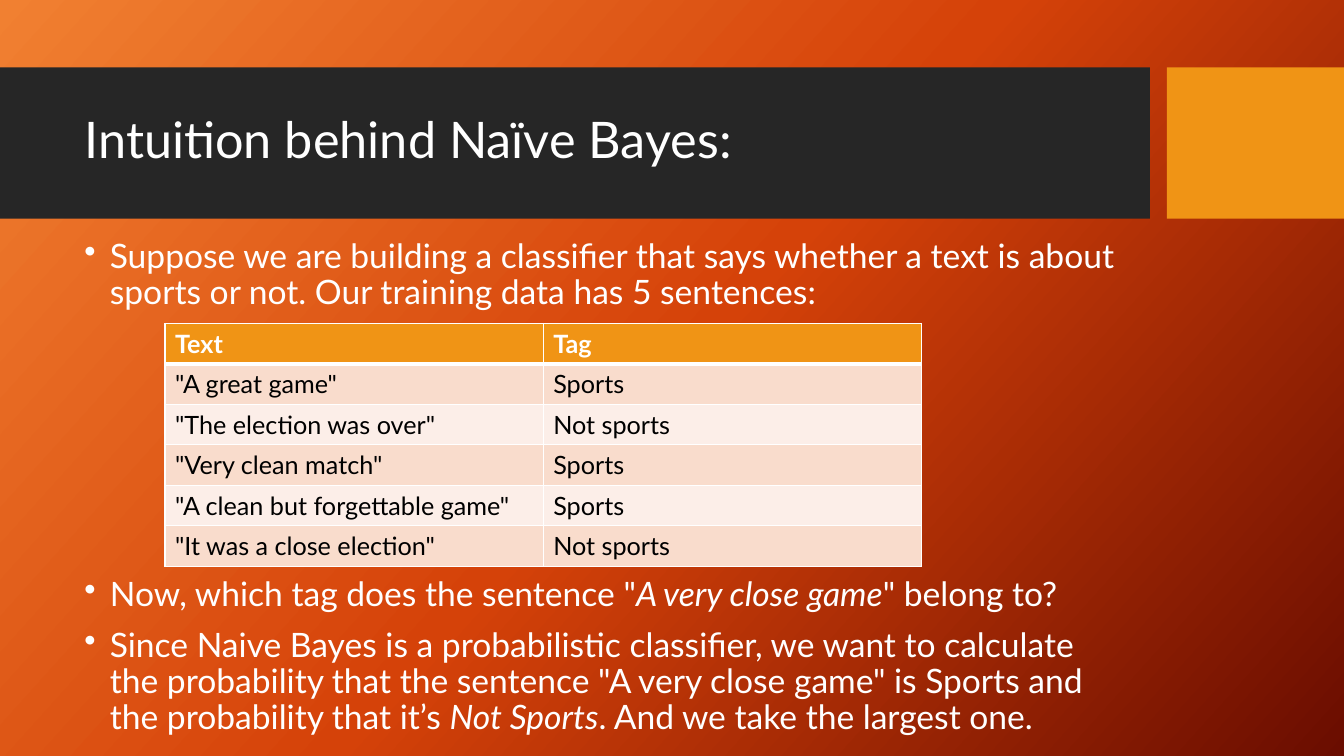
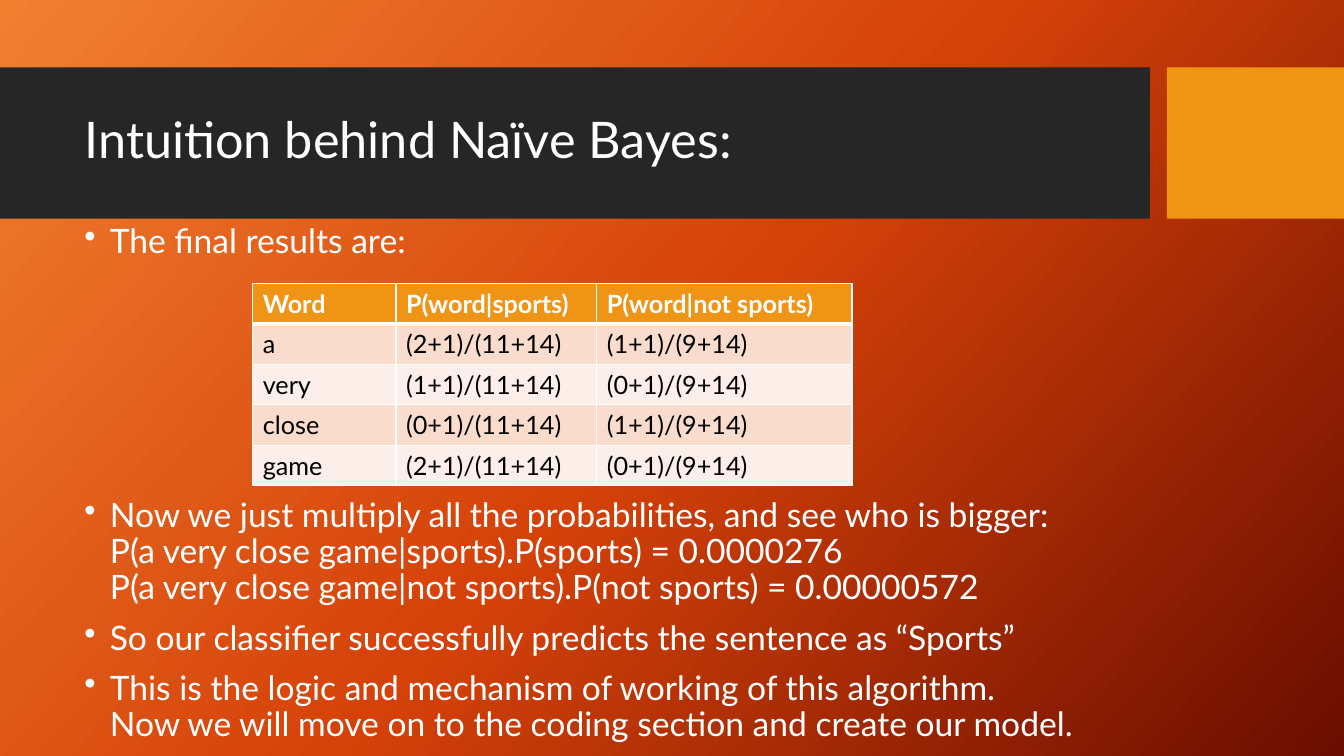
import copy
from dataclasses import dataclass

import pptx
import pptx.dml.color
import pptx.enum.shapes
import pptx.enum.text
import pptx.oxml
import pptx.oxml.ns
import pptx.util

Cm = pptx.util.Cm
Pt = pptx.util.Pt
qn = pptx.oxml.ns.qn
rgb = pptx.dml.color.RGBColor.from_string


@dataclass(frozen=True)
class Theme:
    font: str = "Lato"
    title_size: int = 36
    body_size: int = 24
    table_size: int = 18
    white: str = "FFFFFF"
    black: str = "000000"
    dark: str = "262626"
    accent: str = "F09415"
    row_fills: tuple = ("F9DCCC", "FCEEE8")
    gradient: tuple = ((0, "F18031"), (0.5, "D54209"), (1, "6A0D00"))
    gradient_angle: int = 42
    line_spacing: float = 0.9
    left: float = 1.88
    width: float = 26.7
    row_height: float = 1.02


THEME = Theme()
TITLE = "Intuition behind Naïve Bayes:"


# Shared look: background and bands
def paint_background(master):
    fill = master.background.fill
    fill.gradient()
    fill.gradient_angle = 360 - THEME.gradient_angle
    stops = master.element.find(".//" + qn("a:gsLst"))
    stops.insert(1, copy.deepcopy(stops[0]))
    for stop, (position, color) in zip(fill.gradient_stops, THEME.gradient):
        stop.position = position
        stop.color.rgb = rgb(color)


def add_bands(s):
    """Draw the title bands and store them in the slide's layout."""
    bands = ((0, 28.98, THEME.dark), (29.41, 4.46, THEME.accent))
    for i, (left, width, color) in enumerate(bands):
        band = s.shapes.add_shape(
            pptx.enum.shapes.MSO_SHAPE.RECTANGLE,
            Cm(left), Cm(1.7), Cm(width), Cm(3.81))
        band.shadow.inherit = False
        band.fill.solid()
        band.fill.fore_color.rgb = rgb(color)
        band.line.fill.background()
        s.slide_layout.shapes.element.insert(2 + i, band.element)


# Text
def add_run(p, text, size, color, bold=False, italic=False):
    r = p.add_run()
    r.text = text
    r.font.name = THEME.font
    r.font.size = Pt(size)
    r.font.color.rgb = rgb(color)
    r.font.bold = bold
    r.font.italic = italic


def set_title(s, text):
    sp = s.shapes.title
    sp.left, sp.top = Cm(THEME.left), Cm(2.08)
    sp.width, sp.height = Cm(THEME.width), Cm(3)
    tf = sp.text_frame
    tf.auto_size = pptx.enum.text.MSO_AUTO_SIZE.NONE
    tf.vertical_anchor = pptx.enum.text.MSO_ANCHOR.MIDDLE
    p = tf.paragraphs[0]
    p.alignment = pptx.enum.text.PP_ALIGN.LEFT
    p.line_spacing = THEME.line_spacing
    add_run(p, text, THEME.title_size, THEME.white)


def set_bullet(p):
    pPr = p._p.get_or_add_pPr()
    pPr.set("marL", str(Cm(0.64)))
    pPr.set("indent", str(-Cm(0.64)))
    bullet = pptx.oxml.parse_xml(
        '<a:buChar %s char="•"/>' % pptx.oxml.ns.nsdecls("a"))
    pPr.append(bullet)


def add_bullets(s, top, height, items):
    """Add bulleted text; asterisks enclose italics, newlines break lines."""
    tf = s.shapes.add_textbox(
        Cm(THEME.left), Cm(top), Cm(THEME.width), Cm(height)).text_frame
    tf.word_wrap = True
    tf.margin_top = tf.margin_bottom = 0
    for i, item in enumerate(items):
        p = tf.add_paragraph() if i else tf.paragraphs[0]
        p.line_spacing = THEME.line_spacing
        p.space_before = Pt(10 if i else 0)
        set_bullet(p)
        for j, line in enumerate(item.split("\n")):
            if j:
                p.add_line_break()
            for k, part in enumerate(line.split("*")):
                add_run(p, part, THEME.body_size, THEME.white,
                        italic=k % 2 == 1)


# Table
def set_borders(cell, top, bottom):
    tcPr = cell._tc.get_or_add_tcPr()
    widths = {"lnL": 1, "lnR": 1, "lnT": top, "lnB": bottom}
    for i, (side, width) in enumerate(widths.items()):
        tcPr.insert(i, pptx.oxml.parse_xml(
            '<a:%s %s w="%d"><a:solidFill><a:srgbClr val="%s"/>'
            '</a:solidFill></a:%s>' % (side, pptx.oxml.ns.nsdecls("a"),
                                       Pt(width), THEME.white, side)))


def add_table(s, left, top, widths, rows):
    height = THEME.row_height * len(rows)
    table = s.shapes.add_table(
        len(rows), len(widths),
        Cm(left), Cm(top), Cm(sum(widths)), Cm(height)).table
    for column, width in zip(table.columns, widths):
        column.width = Cm(width)
    for i, values in enumerate(rows):
        table.rows[i].height = Cm(THEME.row_height)
        header = i == 0
        fill = THEME.accent if header else THEME.row_fills[(i - 1) % 2]
        for j, value in enumerate(values):
            cell = table.cell(i, j)
            cell.vertical_anchor = pptx.enum.text.MSO_ANCHOR.MIDDLE
            cell.fill.solid()
            cell.fill.fore_color.rgb = rgb(fill)
            set_borders(cell, 3 if i == 1 else 1, 3 if header else 1)
            add_run(cell.text_frame.paragraphs[0], value, THEME.table_size,
                    THEME.white if header else THEME.black, bold=header)


# Slides
def add_titled_slide(prs):
    s = prs.slides.add_slide(prs.slide_layouts[5])
    set_title(s, TITLE)
    return s


def build_training_slide(s):
    add_bullets(s, 6.04, 2, [
        "Suppose we are building a classifier that says whether a text is "
        "about sports or not. Our training data has 5 sentences:"])
    add_table(s, 4.16, 8.15, (9.53, 9.53), [
        ("Text", "Tag"),
        ('"A great game"', "Sports"),
        ('"The election was over"', "Not sports"),
        ('"Very clean match"', "Sports"),
        ('"A clean but forgettable game"', "Sports"),
        ('"It was a close election"', "Not sports")])
    add_bullets(s, 14.56, 4.2, [
        'Now, which tag does the sentence "*A very close game*" belong to?',
        "Since Naive Bayes is a probabilistic classifier, we want to "
        'calculate the probability that the sentence "A very close game" is '
        "Sports and the probability that it’s *Not Sports*. And we take the "
        "largest one."])


def build_results_slide(s):
    add_bullets(s, 5.66, 1, ["The final results are:"])
    add_table(s, 6.37, 7.14, (3.61, 5.06, 6.43), [
        ("Word", "P(word|sports)", "P(word|not sports)"),
        ("a", "(2+1)/(11+14)", "(1+1)/(9+14)"),
        ("very", "(1+1)/(11+14)", "(0+1)/(9+14)"),
        ("close", "(0+1)/(11+14)", "(1+1)/(9+14)"),
        ("game", "(2+1)/(11+14)", "(0+1)/(9+14)")])
    add_bullets(s, 12.56, 6.3, [
        "Now we just multiply all the probabilities, and see who is bigger:\n"
        "P(a very close game|sports).P(sports) = 0.0000276\n"
        "P(a very close game|not sports).P(not sports) = 0.00000572",
        "So our classifier successfully predicts the sentence as “Sports”",
        "This is the logic and mechanism of working of this algorithm.\n"
        "Now we will move on to the coding section and create our model."])


def main():
    prs = pptx.Presentation()
    prs.slide_width, prs.slide_height = Cm(33.87), Cm(19.05)
    paint_background(prs.slide_master)
    training = add_titled_slide(prs)
    add_bands(training)
    build_training_slide(training)
    build_results_slide(add_titled_slide(prs))
    prs.save("out.pptx")


if __name__ == "__main__":
    main()
